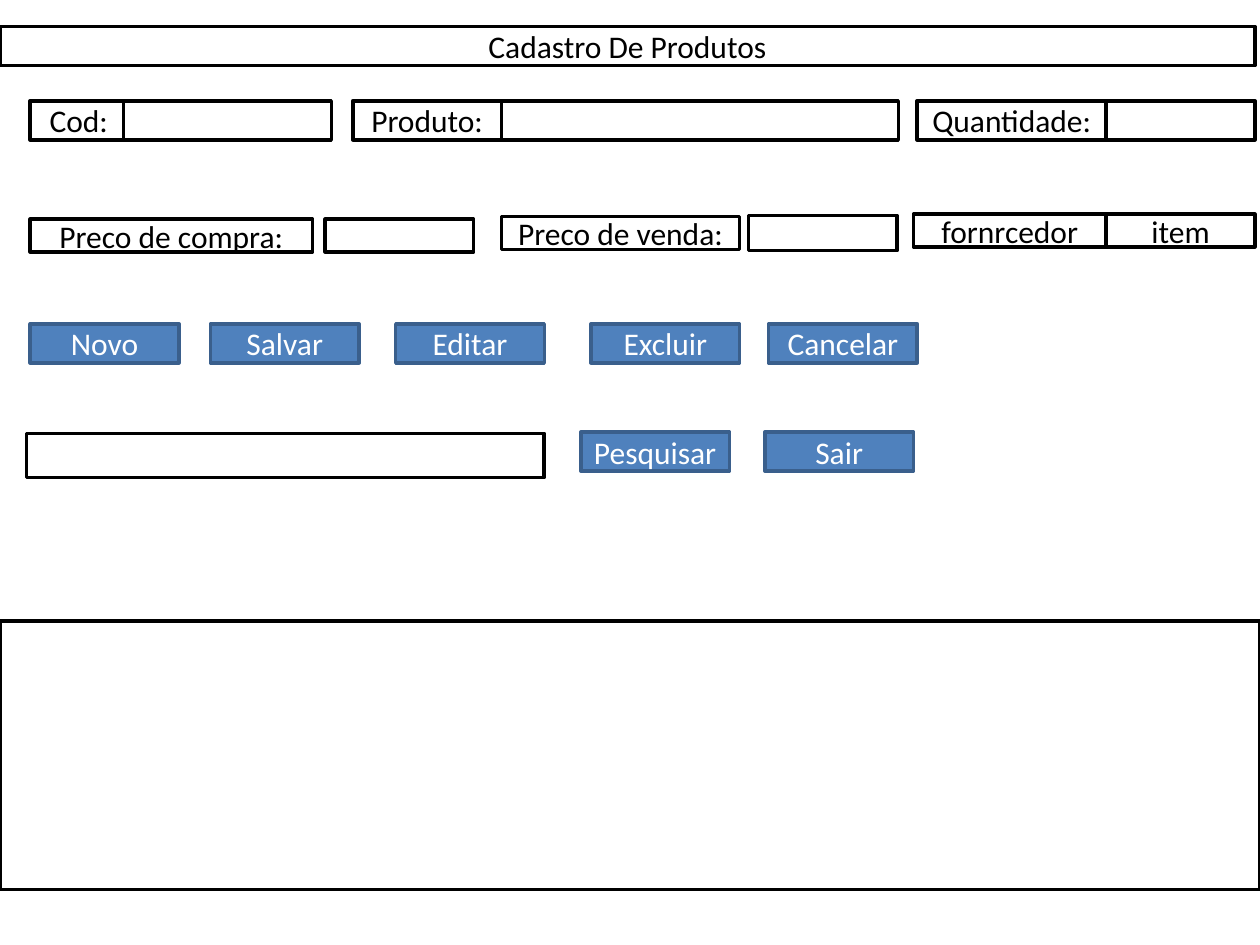
from pptx import Presentation
from pptx.dml.color import RGBColor
from pptx.enum import shapes, text
from pptx.util import Inches, Pt

COLORS = {
    "white": "FFFFFF",
    "black": "000000",
    "blue": "4F81BD",
    "dark_blue": "3A5F8C",
}
FIELD_WIDTH = 1.18
ROW_HEIGHT = 0.31
PRICE_HEIGHT = 0.26


def color(name):
    return RGBColor.from_string(COLORS[name])


def add_box(slide, left, top, width, height, label, fill, line, ink):
    shape = slide.shapes.add_shape(
        shapes.MSO_SHAPE.RECTANGLE,
        Inches(left), Inches(top), Inches(width), Inches(height))
    shape.shadow.inherit = False
    shape.fill.solid()
    shape.fill.fore_color.rgb = color(fill)
    shape.line.color.rgb = color(line)
    shape.line.width = Pt(2)
    if label:
        frame = shape.text_frame
        frame.word_wrap = True
        frame.vertical_anchor = text.MSO_ANCHOR.MIDDLE
        paragraph = frame.paragraphs[0]
        paragraph.text = label
        paragraph.alignment = text.PP_ALIGN.CENTER
        paragraph.font.name = "Calibri"
        paragraph.font.size = Pt(18)
        paragraph.font.color.rgb = color(ink)


def add_field(slide, left, top, width, height=ROW_HEIGHT, label=""):
    add_box(slide, left, top, width, height, label, "white", "black", "black")


def add_button_row(slide, top, buttons):
    for left, label in buttons:
        add_box(slide, left, top, FIELD_WIDTH, ROW_HEIGHT, label,
                "blue", "dark_blue", "white")


def main():
    presentation = Presentation()
    presentation.slide_width = Inches(10)
    presentation.slide_height = Inches(7.5)
    slide = presentation.slides.add_slide(presentation.slide_layouts[6])

    # Product identification: labels and their inputs
    for left, width, label in (
            (0.24, 0.77, "Cod:"), (0.98, 1.65, ""),
            (2.8, FIELD_WIDTH, "Produto:"), (3.98, 3.15, ""),
            (7.28, 1.5, "Quantidade:"), (8.78, FIELD_WIDTH, "")):
        add_field(slide, left, 0.8, width, label=label)

    # Prices and supplier
    for left, top, width, height, label in (
            (0.24, 1.74, 2.24, PRICE_HEIGHT, "Preco de compra:"),
            (2.58, 1.74, FIELD_WIDTH, PRICE_HEIGHT, ""),
            (3.98, 1.72, 1.89, PRICE_HEIGHT, "Preco de venda:"),
            (5.94, 1.71, FIELD_WIDTH, 0.28, ""),
            (7.25, 1.7, 1.53, PRICE_HEIGHT, "fornrcedor"),
            (8.78, 1.7, FIELD_WIDTH, PRICE_HEIGHT, "item")):
        add_field(slide, left, top, width, height, label)

    # Record actions
    add_button_row(slide, 2.57, (
        (0.24, "Novo"), (1.67, "Salvar"), (3.14, "Editar"),
        (4.69, "Excluir"), (6.1, "Cancelar")))

    # Search bar
    add_field(slide, 0.21, 3.44, 4.11, 0.35)
    add_button_row(slide, 3.43, ((4.61, "Pesquisar"), (6.07, "Sair")))

    # Results area and title bar
    add_field(slide, 0, 4.93, 10, 2.13)
    add_field(slide, 0, 0.21, 9.96, label="Cadastro De Produtos")

    presentation.save("out.pptx")


main()
